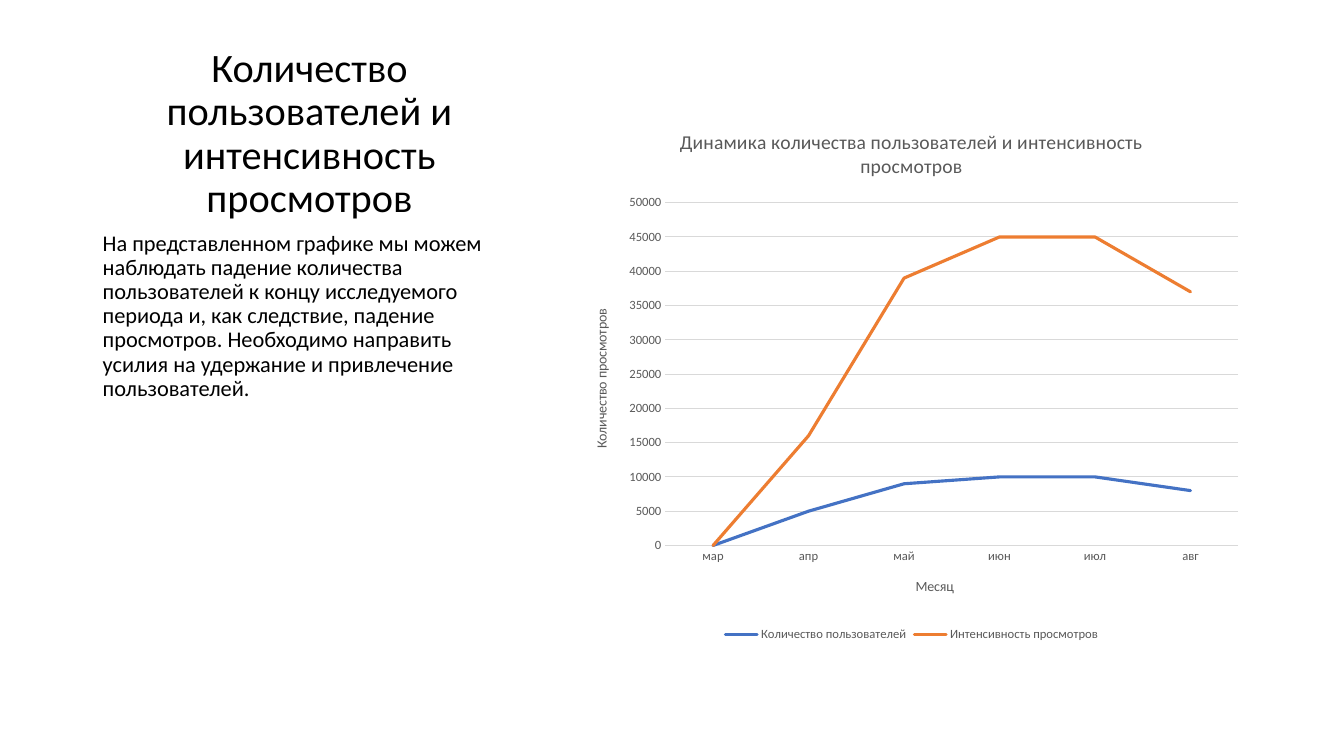
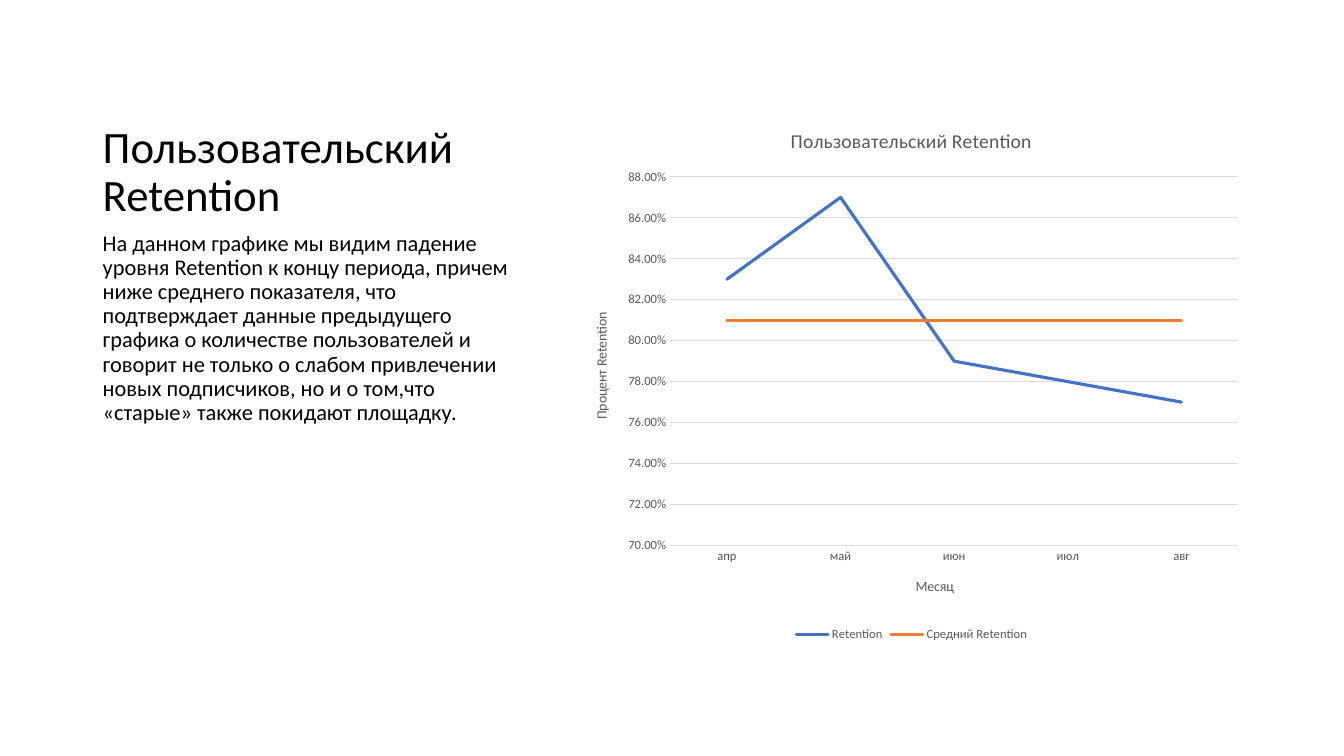
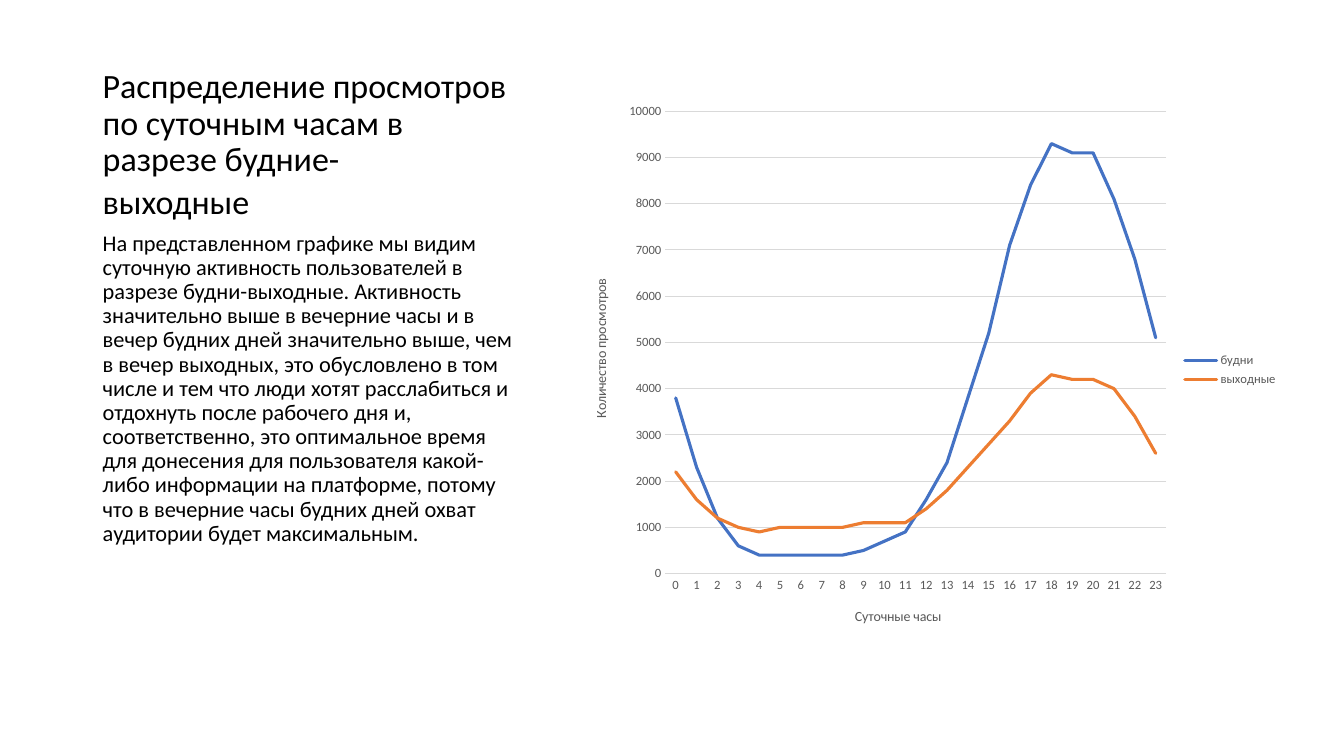
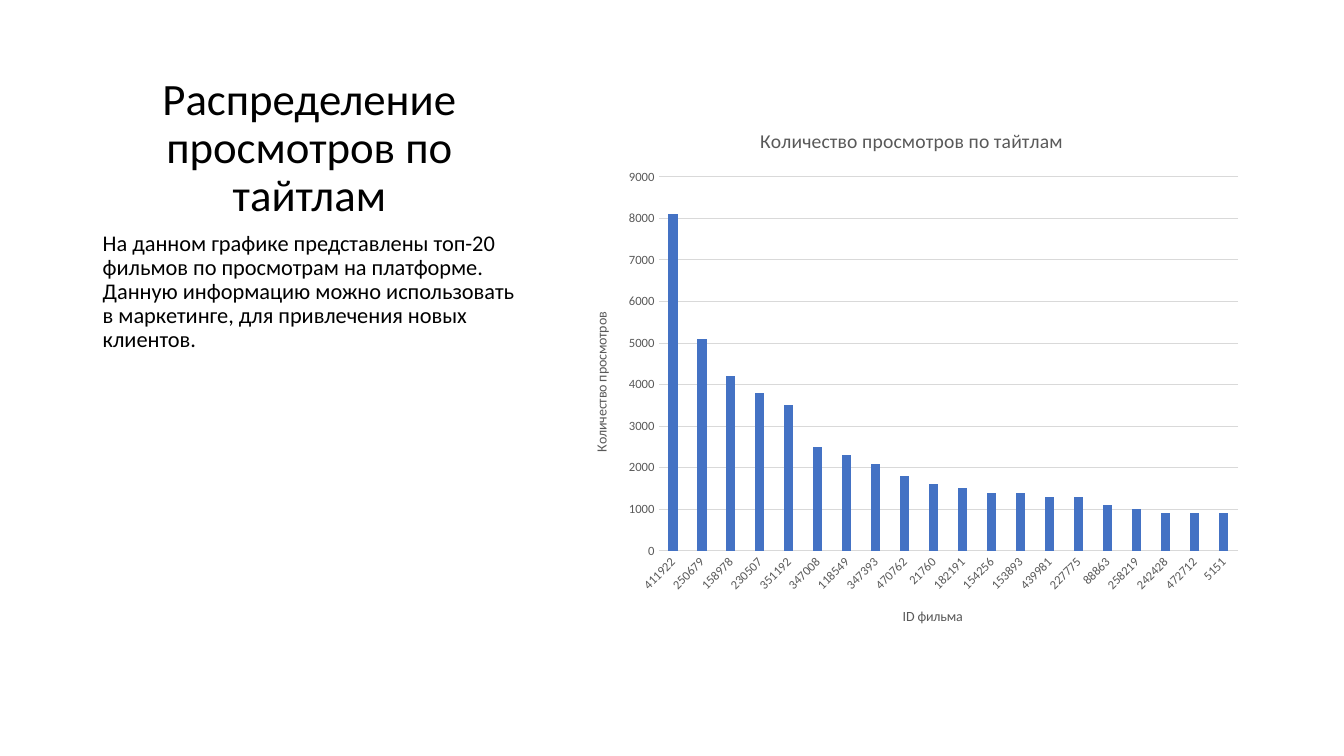
import pptx
import pptx.util
import pptx.dml.color
import pptx.chart.data
import pptx.enum.chart
import pptx.enum.text
import pptx.oxml

Cm, Pt = pptx.util.Cm, pptx.util.Pt
RGBColor = pptx.dml.color.RGBColor
ChartType = pptx.enum.chart.XL_CHART_TYPE
LegendSide = pptx.enum.chart.XL_LEGEND_POSITION
Align = pptx.enum.text.PP_ALIGN
Anchor = pptx.enum.text.MSO_ANCHOR

FONT = "Calibri"
BLACK = RGBColor(0x00, 0x00, 0x00)
GRAY = RGBColor(0x59, 0x59, 0x59)
GRID = RGBColor(0xD9, 0xD9, 0xD9)
BLUE = RGBColor(0x44, 0x72, 0xC4)
ORANGE = RGBColor(0xED, 0x7D, 0x31)

LEFT, TITLE_TOP, BODY_TOP = 2.34, 1.26, 5.72
TEXT_WIDTH, TITLE_HEIGHT, BODY_HEIGHT = 10.92, 4.45, 10.6
CHART_BOX = (14.4, 2.74, 17.15, 13.54)
WIDE_CHART_BOX = (14.4, 2.36, 18.06, 13.92)

SLIDES = [
    dict(
        title=["Количество пользователей и интенсивность просмотров"],
        title_size=28.8, align=Align.CENTER,
        body="На представленном графике мы можем наблюдать падение количества пользователей "
             "к концу исследуемого периода и, как следствие, падение просмотров. Необходимо "
             "направить усилия на удержание и привлечение пользователей.",
        kind=ChartType.LINE_STACKED, box=CHART_BOX,
        plot_area=(13.8, 17.5, 84.2, 63.8),
        chart_title=("Динамика количества пользователей и интенсивность просмотров", 15.4, 2.9),
        category_title=("Месяц", 50.2, 86.8),
        value_title=("Количество просмотров", 2.7, 36.8),
        scale=(0, 50000, 5000), number_format="0", legend=LegendSide.BOTTOM,
        categories=["мар", "апр", "май", "июн", "июл", "авг"],
        series={
            "Количество пользователей": [0, 5000, 9000, 10000, 10000, 8000],
            "Интенсивность просмотров": [0, 11000, 30000, 35000, 35000, 29000],
        },
    ),
    dict(
        title=["Пользовательский Retention"],
        title_size=32, align=Align.LEFT,
        body="На данном графике мы видим падение уровня Retention к концу периода, причем ниже "
             "среднего показателя, что подтверждает данные предыдущего графика о количестве "
             "пользователей и говорит не только о слабом привлечении новых подписчиков, но и "
             "о том,что «старые» также покидают площадку.",
        kind=ChartType.LINE, box=CHART_BOX,
        plot_area=(14.5, 12.7, 83.5, 68.6),
        chart_title=("Пользовательский Retention", 31.7, 2.8),
        category_title=("Месяц", 50.2, 86.8),
        value_title=("Процент Retention", 2.7, 37.4),
        scale=(0.7, 0.88, 0.02), number_format="0.00%", legend=LegendSide.BOTTOM,
        categories=["апр", "май", "июн", "июл", "авг"],
        series={
            "Retention": [0.83, 0.87, 0.79, 0.78, 0.77],
            "Средний Retention": [0.81] * 5,
        },
    ),
    dict(
        title=["Распределение просмотров по суточным часам в разрезе будние-", "выходные"],
        title_size=24.3, align=Align.LEFT,
        body="На представленном графике мы видим суточную активность пользователей в разрезе "
             "будни-выходные. Активность значительно выше в вечерние часы и в вечер будних дней "
             "значительно выше, чем в вечер выходных, это обусловлено в том числе и тем что люди "
             "хотят расслабиться и отдохнуть после рабочего дня и, соответственно, это "
             "оптимальное время для донесения для пользователя какой-либо информации на "
             "платформе, потому что в вечерние часы будних дней охват аудитории будет "
             "максимальным.",
        kind=ChartType.LINE, box=WIDE_CHART_BOX,
        plot_area=(13.1, 3.2, 69.9, 83.7),
        chart_title=None,
        category_title=("Суточные часы", 39.2, 92.5),
        value_title=("Количество просмотров", 2.5, 33),
        scale=(0, 10000, 1000), number_format="General", legend=LegendSide.RIGHT,
        categories=[str(hour) for hour in range(24)],
        series={
            "будни": [3800, 2300, 1200, 600, 400, 400, 400, 400, 400, 500, 700, 900,
                      1600, 2400, 3800, 5200, 7100, 8400, 9300, 9100, 9100, 8100, 6800, 5100],
            "выходные": [2200, 1600, 1200, 1000, 900, 1000, 1000, 1000, 1000, 1100, 1100, 1100,
                         1400, 1800, 2300, 2800, 3300, 3900, 4300, 4200, 4200, 4000, 3400, 2600],
        },
    ),
    dict(
        title=["Распределение просмотров по тайтлам"],
        title_size=32, align=Align.CENTER,
        body="На данном графике представлены топ-20 фильмов по просмотрам на платформе. Данную "
             "информацию можно использовать в маркетинге, для привлечения новых клиентов.",
        kind=ChartType.COLUMN_CLUSTERED, box=CHART_BOX,
        plot_area=(12.8, 12.7, 85.2, 69.6),
        chart_title=("Количество просмотров по тайтлам", 27.2, 2.8),
        category_title=("ID фильма", 48.3, 92.3),
        value_title=("Количество просмотров", 2.7, 37.4),
        scale=(0, 9000, 1000), number_format="General", legend=None,
        categories=["411922", "250679", "158978", "230507", "351192", "347008", "118549",
                    "347393", "470762", "21760", "182191", "154256", "153893", "439981",
                    "227775", "88863", "258219", "242428", "472712", "5151"],
        series={
            "Количество просмотров": [8100, 5100, 4200, 3800, 3500, 2500, 2300, 2100, 1800, 1600,
                                      1500, 1400, 1400, 1300, 1300, 1100, 1000, 900, 900, 900],
        },
    ),
]


def style_font(font, size, color):
    font.name = FONT
    font.size = Pt(size)
    font.bold = False
    font.color.rgb = color


def add_text(page, top, height, lines, size, anchor, align, first_gap, next_gap):
    box = page.shapes.add_textbox(Cm(LEFT), Cm(top), Cm(TEXT_WIDTH), Cm(height))
    frame = box.text_frame
    frame.word_wrap = True
    frame.vertical_anchor = anchor
    frame.text = "\n".join(lines)
    for index, paragraph in enumerate(frame.paragraphs):
        paragraph.alignment = align
        paragraph.line_spacing = 0.9
        paragraph.space_before = Pt(next_gap if index else first_gap)
        for span in paragraph.runs:
            style_font(span.font, size, BLACK)


def set_layout(element, index, percents, inner=False):
    for previous in element.xpath("./c:layout"):
        element.remove(previous)
    target = '<c:layoutTarget val="inner"/>' if inner else ""
    names = ("x", "y", "w", "h")[:len(percents)]
    modes = "".join(f'<c:{name}Mode val="edge"/>' for name in ("x", "y"))
    values = "".join(f'<c:{name} val="{part / 100:.3f}"/>' for name, part in zip(names, percents))
    namespace = "http://schemas.openxmlformats.org/drawingml/2006/chart"
    element.insert(index, pptx.oxml.parse_xml(
        f'<c:layout xmlns:c="{namespace}"><c:manualLayout>{target}{modes}{values}'
        "</c:manualLayout></c:layout>"))


def set_title(title, content, size):
    text, left, top = content
    title.text_frame.text = text
    style_font(title.text_frame.paragraphs[0].runs[0].font, size, GRAY)
    set_layout(title._element, 1, (left, top))


def style_axis(axis, title):
    style_font(axis.tick_labels.font, 9, GRAY)
    axis.major_tick_mark = axis.minor_tick_mark = pptx.enum.chart.XL_TICK_MARK.NONE
    set_title(axis.axis_title, title, 10)


def style_line(line, color, width):
    line.color.rgb = color
    line.width = Pt(width)


def add_graph(page, content):
    data = pptx.chart.data.CategoryChartData(number_format=content["number_format"])
    data.categories = content["categories"]
    for name, values in content["series"].items():
        data.add_series(name, values)
    place = [Cm(length) for length in content["box"]]
    chart = page.shapes.add_chart(content["kind"], *place, data).chart
    style_font(chart.font, 10, BLACK)

    chart.has_title = content["chart_title"] is not None
    if chart.has_title:
        set_title(chart.chart_title, content["chart_title"], 14)
    chart.has_legend = content["legend"] is not None
    if chart.has_legend:
        chart.legend.position = content["legend"]
        chart.legend.include_in_layout = False
        style_font(chart.legend.font, 9, GRAY)

    category_axis, value_axis = chart.category_axis, chart.value_axis
    style_axis(category_axis, content["category_title"])
    style_line(category_axis.format.line, GRID, 0.75)
    style_axis(value_axis, content["value_title"])
    value_axis.axis_title.text_frame._txBody.bodyPr.set("rot", "-5400000")
    value_axis.format.line.fill.background()
    value_axis.has_major_gridlines = True
    style_line(value_axis.major_gridlines.format.line, GRID, 0.75)
    value_axis.minimum_scale, value_axis.maximum_scale, value_axis.major_unit = content["scale"]
    value_axis.tick_labels.number_format = content["number_format"]
    value_axis.tick_labels.number_format_is_linked = False

    plot = chart.plots[0]
    plot.vary_by_categories = False
    is_column = content["kind"] == ChartType.COLUMN_CLUSTERED
    if is_column:
        plot.gap_width, plot.overlap = 219, -27
        category_axis._element.xpath("./c:txPr/a:bodyPr")[0].set("rot", "-2700000")
    for series, color in zip(plot.series, (BLUE, ORANGE)):
        if is_column:
            series.format.fill.solid()
            series.format.fill.fore_color.rgb = color
        else:
            series.smooth = False
            style_line(series.format.line, color, 2.25)
            series._element.xpath("./c:spPr/a:ln")[0].set("cap", "rnd")
    plot_area = chart._chartSpace.xpath("./c:chart/c:plotArea")[0]
    set_layout(plot_area, 0, content["plot_area"], inner=True)


deck = pptx.Presentation()
deck.slide_width, deck.slide_height = Cm(33.87), Cm(19.05)
for content in SLIDES:
    page = deck.slides.add_slide(deck.slide_layouts[6])
    add_text(page, TITLE_TOP, TITLE_HEIGHT, content["title"], content["title_size"],
             Anchor.BOTTOM, content["align"], 0, 4)
    add_text(page, BODY_TOP, BODY_HEIGHT, [content["body"]], 16, Anchor.TOP, Align.LEFT, 10, 10)
    add_graph(page, content)
deck.save("out.pptx")
